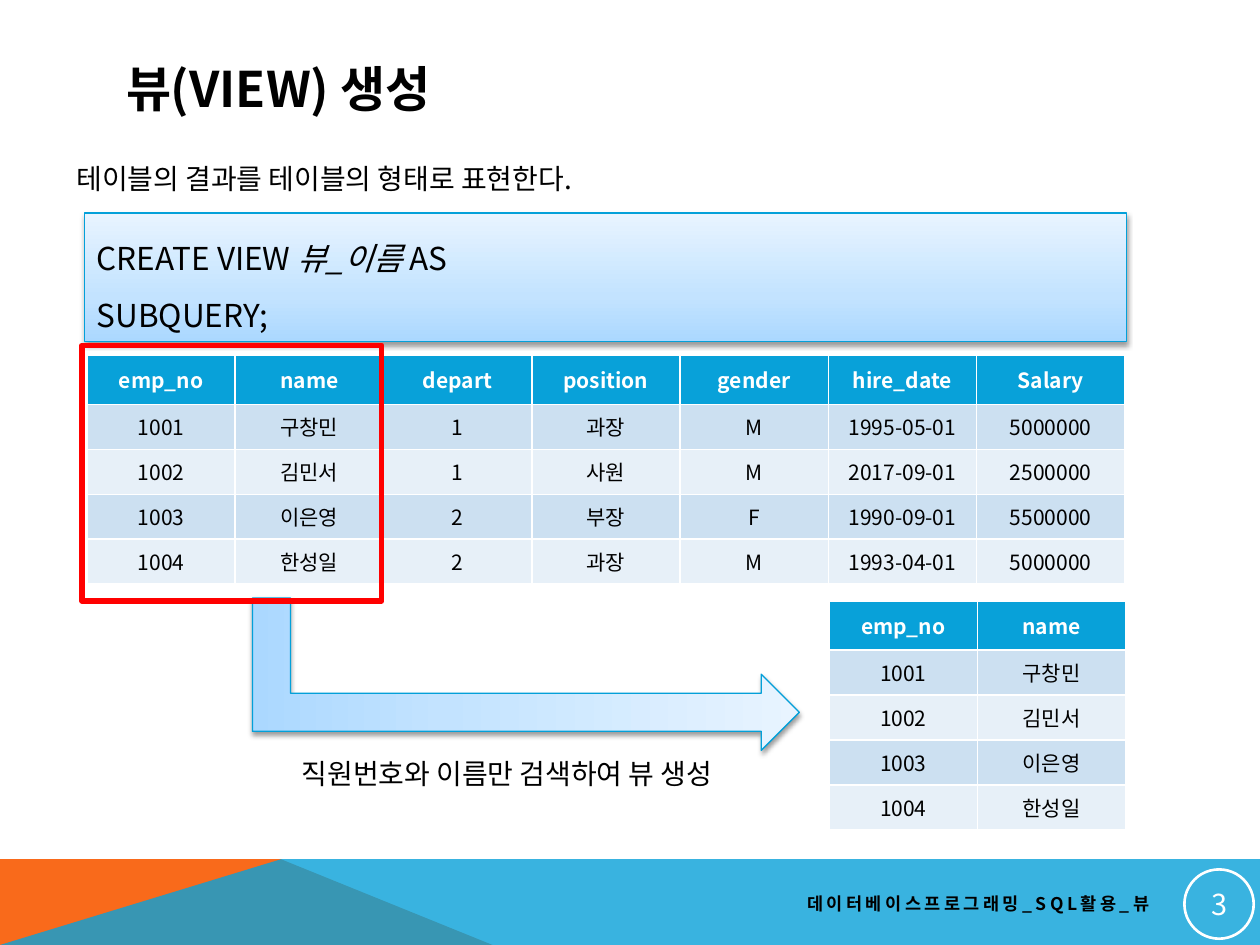
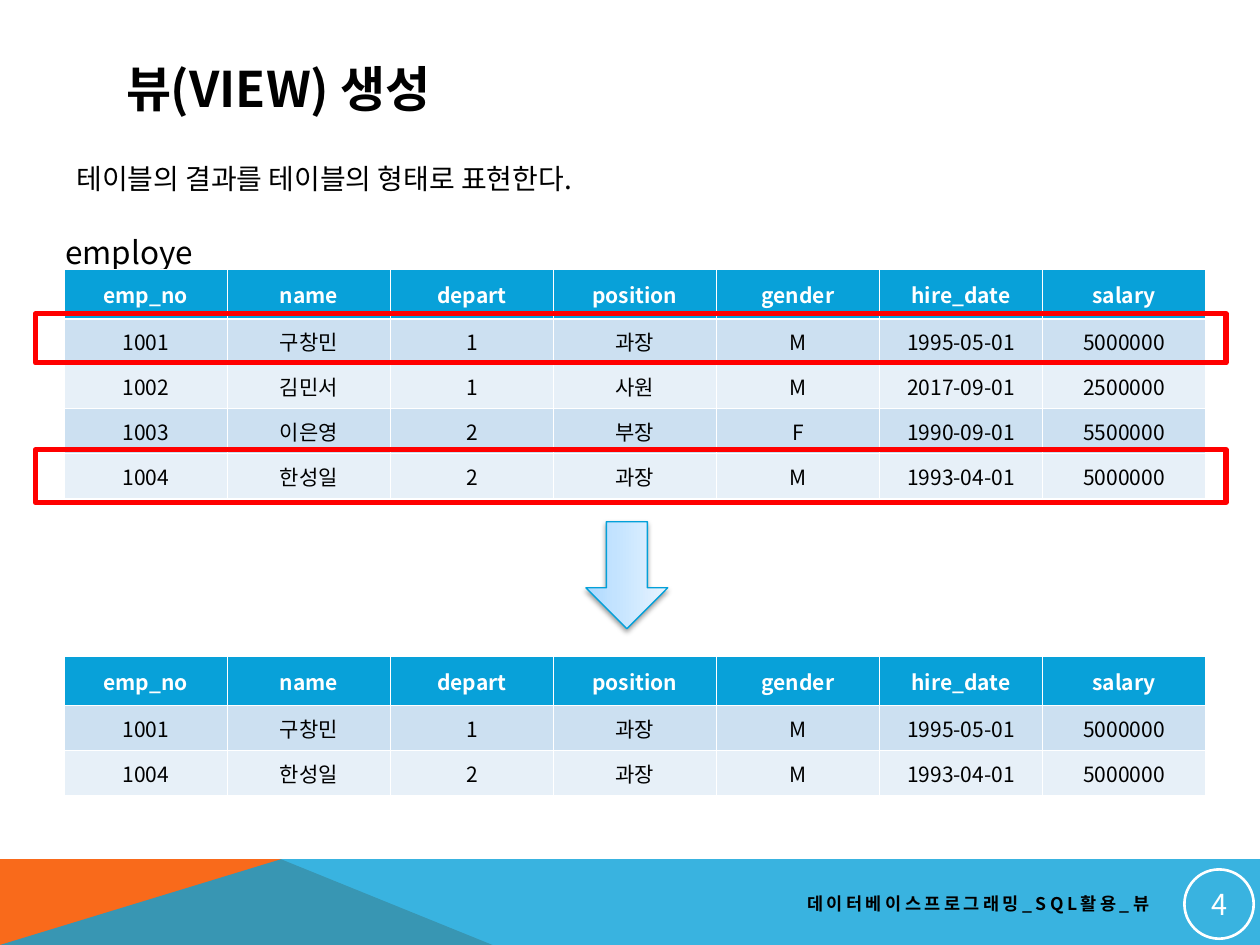
import pptx
import pptx.dml.color
import pptx.enum.shapes
import pptx.enum.text
import pptx.oxml
import pptx.oxml.ns
import pptx.util
import lxml.etree

Pt = pptx.util.Pt
SHAPE = pptx.enum.shapes.MSO_SHAPE
ALIGN = pptx.enum.text.PP_ALIGN
ANCHOR = pptx.enum.text.MSO_ANCHOR
AUTO_SIZE = pptx.enum.text.MSO_AUTO_SIZE
qn = pptx.oxml.ns.qn

FONT = "Noto Sans CJK KR"
BLACK, WHITE, RED = "000000", "FFFFFF", "FF0000"
BLUE, ORANGE, OUTLINE = "08A1D9", "F96A1B", "03A0D9"
ROW_FILLS = ["CCE0F1", "E7F0F8"]
GRADIENT = [(0, "ABD8FF"), (35, "C3E3FF"), (100, "E8F4FF")]
NAMESPACE = pptx.oxml.ns.nsdecls("a")


def color(value):
    return pptx.dml.color.RGBColor.from_string(value)


def style(paragraph, size, font_color=BLACK, bold=False, align=ALIGN.LEFT):
    paragraph.alignment = align
    for run in paragraph.runs:
        run.font.size = Pt(size)
        run.font.bold = bold
        run.font.name = FONT
        run.font.color.rgb = color(font_color)
        east_asian = lxml.etree.SubElement(run.font._element, qn("a:ea"))
        east_asian.set("typeface", FONT)


presentation = pptx.Presentation()
presentation.slide_width = Pt(720)
presentation.slide_height = Pt(540)
layout = presentation.slide_layouts[5]
view_slide = presentation.slides.add_slide(layout)
rows_slide = presentation.slides.add_slide(layout)

bands = [
    (ORANGE, [(0, 540), (0, 491), (160.6, 491), (281.5, 540)]),
    (BLUE, [(0, 540), (160.6, 491), (720, 491), (720, 540)]),
]
for band_color, corners in bands:
    points = [(Pt(x), Pt(y)) for x, y in corners]
    builder = view_slide.shapes.build_freeform(*points[0])
    builder.add_line_segments(points[1:], close=True)
    band = builder.convert_to_shape()
    band.shadow.inherit = False
    band.fill.solid()
    band.fill.fore_color.rgb = color(band_color)
    band.line.fill.background()
    if band_color == BLUE:
        fill_color = band.element.spPr.find(".//" + qn("a:srgbClr"))
        lxml.etree.SubElement(fill_color, qn("a:alpha")).set("val", "80000")
    layout.shapes.element.append(band.element)

for number, slide in enumerate(presentation.slides, 3):
    title = slide.shapes.title
    title.left, title.top, title.width, title.height = Pt(64.8), Pt(28.8), Pt(591.8), Pt(43.2)
    title.text_frame.text = "뷰(VIEW) 생성"
    title.text_frame.auto_size = AUTO_SIZE.NONE
    title.text_frame.vertical_anchor = ANCHOR.MIDDLE
    style(title.text_frame.paragraphs[0], 28, bold=True)

    badge = slide.shapes.add_shape(SHAPE.OVAL, Pt(676.8), Pt(496.8), Pt(39.6), Pt(39.6))
    badge.shadow.inherit = False
    badge.fill.background()
    badge.line.color.rgb = color(WHITE)
    badge.line.width = Pt(1.5)
    frame = badge.text_frame
    frame.margin_left = frame.margin_right = frame.margin_top = frame.margin_bottom = Pt(0.72)
    frame.vertical_anchor = ANCHOR.MIDDLE
    frame.text = str(number)
    style(frame.paragraphs[0], 16.5, WHITE, align=ALIGN.CENTER)

    footer = slide.shapes.add_textbox(Pt(257.8), Pt(505.4), Pt(406), Pt(21.6))
    footer.text_frame.word_wrap = True
    footer.text_frame.vertical_anchor = ANCHOR.MIDDLE
    footer.text_frame.text = "데이터베이스프로그래밍_SQL활용_뷰"
    style(footer.text_frame.paragraphs[0], 10, bold=True, align=ALIGN.RIGHT)
    footer.text_frame.paragraphs[0].runs[0].font._element.set("spc", "200")

    summary = slide.shapes.add_textbox(Pt(36.7), Pt(88.6), Pt(591.8), Pt(36))
    summary.text_frame.word_wrap = True
    summary.text_frame.text = "테이블의 결과를 테이블의 형태로 표현한다."
    style(summary.text_frame.paragraphs[0], 16)

caption = view_slide.shapes.add_textbox(Pt(145.4), Pt(423.4), Pt(288.7), Pt(37.4))
caption.text_frame.word_wrap = True
caption.text_frame.vertical_anchor = ANCHOR.MIDDLE
caption.text_frame.text = "직원번호와 이름만 검색하여 뷰 생성"
style(caption.text_frame.paragraphs[0], 16, align=ALIGN.CENTER)

table_name = rows_slide.shapes.add_textbox(Pt(30.2), Pt(118.8), Pt(95), Pt(36))
table_name.text_frame.word_wrap = False
table_name.text_frame.auto_size = AUTO_SIZE.SHAPE_TO_FIT_TEXT
table_name.text_frame.text = "employee"
table_name.text_frame.paragraphs[0].line_spacing = 1.5
style(table_name.text_frame.paragraphs[0], 18)

code_box = view_slide.shapes.add_shape(SHAPE.RECTANGLE, Pt(48.2), Pt(121.7), Pt(595.4), Pt(73.4))
view_arrow = view_slide.shapes.add_shape(SHAPE.BENT_UP_ARROW, Pt(257), Pt(229), Pt(87.1), Pt(312.5))
view_arrow.rotation = 270
transform = view_arrow.element.spPr.find(qn("a:xfrm"))
transform.set("flipH", "1")
transform.set("flipV", "1")
rows_arrow = rows_slide.shapes.add_shape(SHAPE.RIGHT_ARROW, Pt(327.6), Pt(305.3), Pt(61.2), Pt(46.8))
rows_arrow.rotation = 90

stops = "".join(
    f'<a:gs pos="{position * 1000}"><a:srgbClr val="{value}"/></a:gs>' for position, value in GRADIENT
)
for shape in (code_box, view_arrow, rows_arrow):
    properties = shape.element.spPr
    properties.find(qn("a:prstGeom")).addnext(pptx.oxml.parse_xml(
        f'<a:gradFill {NAMESPACE} rotWithShape="1"><a:gsLst>{stops}</a:gsLst>'
        '<a:lin ang="16200000" scaled="0"/></a:gradFill>'
    ))
    shape.line.color.rgb = color(OUTLINE)
    shape.line.width = Pt(0.75)
    shape.shadow.inherit = False
    properties.find(qn("a:effectLst")).append(pptx.oxml.parse_xml(
        f'<a:outerShdw {NAMESPACE} blurRad="{Pt(3.1)}" dist="{Pt(1.6)}" dir="5400000" rotWithShape="0">'
        f'<a:srgbClr val="{BLACK}"><a:alpha val="38000"/></a:srgbClr></a:outerShdw>'
    ))

code_frame = code_box.text_frame
code_frame.vertical_anchor = ANCHOR.MIDDLE
code_frame.text = "CREATE VIEW \nSUBQUERY;"
view_name = code_frame.paragraphs[0].add_run()
view_name.text = "뷰_이름 "
view_name.font.italic = True
code_frame.paragraphs[0].add_run().text = "AS"
for paragraph in code_frame.paragraphs:
    paragraph.line_spacing = 1.5
    style(paragraph, 18)

columns = ["emp_no", "name", "depart", "position", "gender", "hire_date"]
employees = [
    ["1001", "구창민", "1", "과장", "M", "1995-05-01", "5000000"],
    ["1002", "김민서", "1", "사원", "M", "2017-09-01", "2500000"],
    ["1003", "이은영", "2", "부장", "F", "1990-09-01", "5500000"],
    ["1004", "한성일", "2", "과장", "M", "1993-04-01", "5000000"],
]
tables = [
    (view_slide, 49.7, 203, 84.75, [columns + ["Salary"]] + employees),
    (view_slide, 473.8, 343.4, 84.75, [row[:2] for row in [columns] + employees]),
    (rows_slide, 36.7, 154.1, 93.2, [columns + ["salary"]] + employees),
    (rows_slide, 36.7, 375.1, 93.2, [columns + ["salary"], employees[0], employees[3]]),
]
for slide, left, top, column_width, rows in tables:
    height = 28.1 + 25.7 * (len(rows) - 1)
    table = slide.shapes.add_table(
        len(rows), len(rows[0]), Pt(left), Pt(top), Pt(column_width * len(rows[0])), Pt(height)
    ).table
    for column in table.columns:
        column.width = Pt(column_width)
    for row_index, values in enumerate(rows):
        header = row_index == 0
        table.rows[row_index].height = Pt(28.1 if header else 25.7)
        for column_index, value in enumerate(values):
            cell = table.cell(row_index, column_index)
            cell.text_frame.text = value
            cell.vertical_anchor = ANCHOR.MIDDLE
            cell.fill.solid()
            cell.fill.fore_color.rgb = color(BLUE if header else ROW_FILLS[(row_index - 1) % 2])
            style(cell.text_frame.paragraphs[0], 12, WHITE if header else BLACK, header, ALIGN.CENTER)

highlights = [
    (view_slide, 46.8, 197.3, 171.4, 146.2),
    (rows_slide, 20.2, 179.3, 680.4, 28.1),
    (rows_slide, 20.2, 257, 680.4, 30.2),
]
for slide, left, top, width, height in highlights:
    highlight = slide.shapes.add_shape(SHAPE.RECTANGLE, Pt(left), Pt(top), Pt(width), Pt(height))
    highlight.shadow.inherit = False
    highlight.fill.background()
    highlight.line.color.rgb = color(RED)
    highlight.line.width = Pt(3)

presentation.save("out.pptx")
